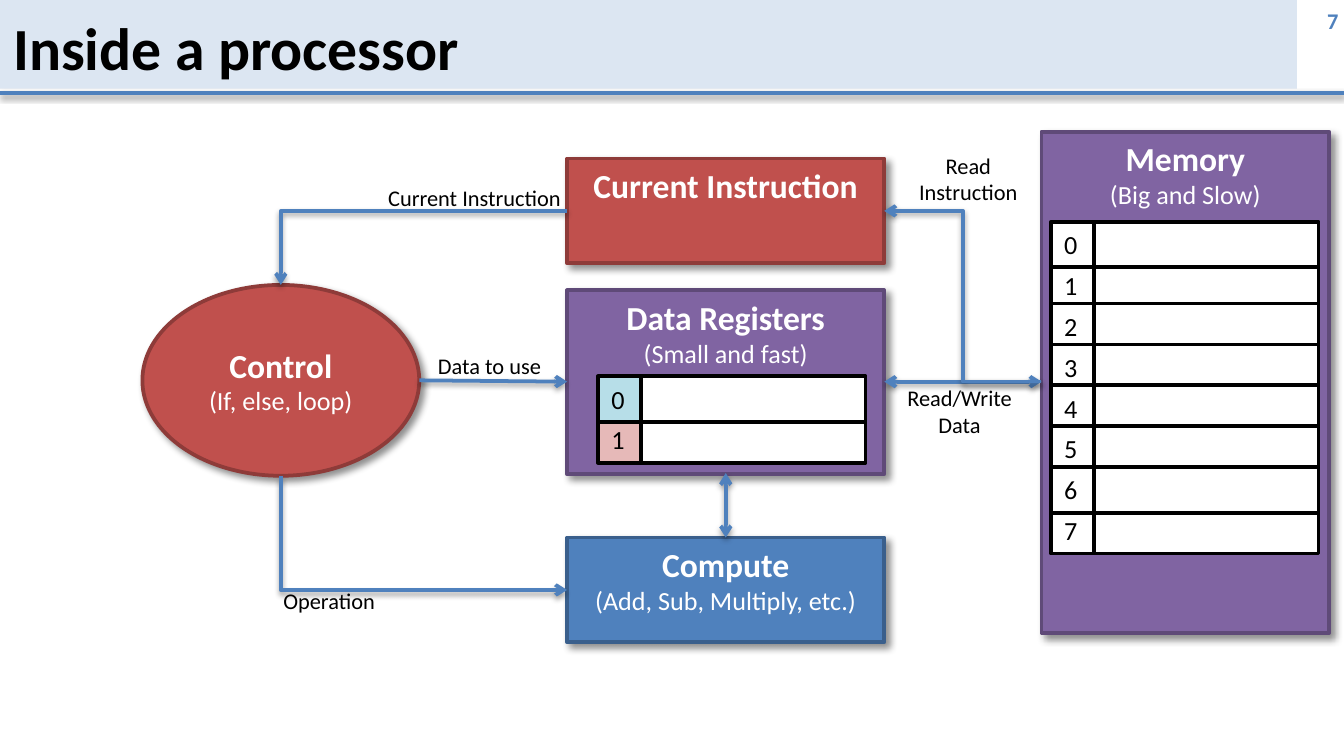
from lxml.etree import SubElement
from pptx import Presentation
from pptx.dml.color import RGBColor
from pptx.enum.shapes import MSO_CONNECTOR, MSO_SHAPE
from pptx.enum.text import MSO_ANCHOR, MSO_AUTO_SIZE, PP_ALIGN
from pptx.oxml.ns import qn
from pptx.util import Inches, Pt

BLACK = RGBColor(0x00, 0x00, 0x00)
WHITE = RGBColor(0xFF, 0xFF, 0xFF)
BLUE = RGBColor(0x4F, 0x81, 0xBD)
DARK_BLUE = RGBColor(0x3A, 0x5F, 0x8C)
PALE_BLUE = RGBColor(0xDC, 0xE6, 0xF2)
PURPLE = RGBColor(0x80, 0x64, 0xA2)
DARK_PURPLE = RGBColor(0x5F, 0x4A, 0x78)
RED = RGBColor(0xC0, 0x50, 0x4D)
DARK_RED = RGBColor(0x8E, 0x3B, 0x39)
AQUA = RGBColor(0xB7, 0xDE, 0xE8)
PINK = RGBColor(0xE6, 0xB9, 0xB8)

FONT = "Calibri"
LEFT, CENTER, RIGHT = PP_ALIGN.LEFT, PP_ALIGN.CENTER, PP_ALIGN.RIGHT
TOP, MIDDLE = MSO_ANCHOR.TOP, MSO_ANCHOR.MIDDLE
RECT, OVAL = MSO_SHAPE.RECTANGLE, MSO_SHAPE.OVAL
STRAIGHT, ELBOW = MSO_CONNECTOR.STRAIGHT, MSO_CONNECTOR.ELBOW
BOX_SHADOW = (43, 4, 3, 45)
LINE_SHADOW = (38, 3.1, 1.6, 90)

BOXES = [
    (RECT, (4.22, 4, 2.36, 0.78), BLUE, DARK_BLUE, [["Compute"], ["(Add, Sub, Multiply, etc.)"]]),
    (RECT, (4.22, 2.16, 2.36, 1.37), PURPLE, DARK_PURPLE, [["Data Registers", "(Small and fast)"]]),
    (RECT, (7.75, 0.98, 2.14, 3.73), PURPLE, DARK_PURPLE, [["Memory"], ["(Big and Slow)"]]),
    (RECT, (4.22, 1.18, 2.36, 0.78), RED, DARK_RED, [["Current Instruction"]]),
    (OVAL, (1.06, 2.12, 2.06, 1.42), RED, DARK_RED, [["Control"], ["(If, else, loop)"]]),
]

ARROWS = [
    (STRAIGHT, None, (5.4, 3.52), (5.4, 4), True, True),
    (ELBOW, "bentConnector2", (4.22, 1.57), (2.09, 2.12), False, True),
    (ELBOW, "bentConnector2", (4.22, 4.39), (2.09, 3.54), True, False),
    (ELBOW, None, (6.58, 2.84), (7.75, 2.84), True, True),
    (ELBOW, None, (7.75, 2.84), (6.58, 1.57), False, True),
    (STRAIGHT, None, (3.12, 2.83), (4.22, 2.84), False, True),
]

LABELS = [
    ("Current Instruction", (2.79, 1.32, 1.5, 0.3), LEFT, False),
    ("Operation", (2.01, 4.32, 0.89, 0.3), LEFT, False),
    ("Read/Write Data", (6.53, 2.81, 1.22, 0.5), CENTER, True),
    ("Read Instruction", (6.58, 1.08, 1.25, 0.5), CENTER, True),
    ("Data to use", (3.16, 2.57, 0.98, 0.3), LEFT, False),
]

CELL_STACKS = [
    (7.82, 1.65, [(n, WHITE) for n in (7, 1, 2, 3, 4, 5, 6, 0)]),
    (4.45, 2.8, [(1, PINK), (0, AQUA)]),
]
CELL_PITCH = 2.13 / 7
CELL_H, INDEX_W, VALUE_W = 0.34, 0.32, 1.67


def add_shadow(sp, alpha, blur, dist, angle):
    effects = SubElement(sp._element.spPr, qn("a:effectLst"))
    outer = SubElement(effects, qn("a:outerShdw"), blurRad=str(Pt(blur)), dist=str(Pt(dist)),
                       dir=str(angle * 60000), algn="ctr", rotWithShape="0")
    color = SubElement(outer, qn("a:srgbClr"), val="000000")
    SubElement(color, qn("a:alpha"), val=str(alpha * 1000))


def add_line(s, kind, preset, start, end, head, tail):
    cx = s.shapes.add_connector(kind, *map(Inches, start + end))
    cx.line.color.rgb = BLUE
    cx.line.width = Pt(2)
    sp_pr = cx._element.spPr
    if preset:
        sp_pr.find(qn("a:prstGeom")).set("prst", preset)
    for tag, wanted in (("a:headEnd", head), ("a:tailEnd", tail)):
        if wanted:
            SubElement(sp_pr.find(qn("a:ln")), qn(tag), type="arrow")
    add_shadow(cx, *LINE_SHADOW)


def add_shape(s, kind, at, fill, line=None, shadow=None):
    sp = s.shapes.add_shape(kind, *map(Inches, at))
    sp.fill.solid()
    sp.fill.fore_color.rgb = fill
    if line is None:
        sp.line.fill.background()
    else:
        sp.line.color.rgb = line
        sp.line.width = Pt(2)
    if shadow:
        add_shadow(sp, *shadow)
    else:
        sp.shadow.inherit = False
    return sp


def add_run(p, text, size, bold, color):
    r = p.add_run()
    r.text = text
    r.font.name = FONT
    r.font.size = Pt(size)
    r.font.bold = bold
    r.font.color.rgb = color


def set_frame(sp, anchor=TOP, wrap=True):
    tf = sp.text_frame
    tf.word_wrap = wrap
    tf.vertical_anchor = anchor
    return tf


def write(sp, text, size, bold, color, align=LEFT, anchor=TOP, wrap=True):
    tf = set_frame(sp, anchor, wrap)
    p = tf.paragraphs[0]
    p.alignment = align
    add_run(p, text, size, bold, color)
    return tf


def write_box(sp, paragraphs, anchor, wrap):
    tf = set_frame(sp, anchor, wrap)
    size, bold = 18, True
    for i, lines in enumerate(paragraphs):
        p = tf.paragraphs[0] if i == 0 else tf.add_paragraph()
        p.alignment = CENTER
        for j, text in enumerate(lines):
            if j:
                p.add_line_break()
            add_run(p, text, size, bold, WHITE)
            size, bold = 14, False


def add_text(s, at, *text):
    return write(s.shapes.add_textbox(*map(Inches, at)), *text)


def main():
    prs = Presentation()
    prs.slide_width = Inches(10)
    prs.slide_height = prs.slide_width * 9 // 16
    s = prs.slides.add_slide(prs.slide_layouts[6])

    tf = add_text(s, (9.33, 0, 0.67, 0.3), "7", 12, True, BLUE, RIGHT, MIDDLE, False)
    tf.margin_left = tf.margin_right = Inches(0.04)
    add_shape(s, RECT, (0, 0, 9.65, 0.66), PALE_BLUE)
    add_line(s, STRAIGHT, None, (0, 0.69), (10, 0.69), False, False)
    add_text(s, (0, 0.03, 9.88, 0.63), "Inside a processor", 32, True, BLACK, LEFT, MIDDLE)

    for kind, at, fill, line, paragraphs in BOXES:
        sp = add_shape(s, kind, at, fill, line, BOX_SHADOW)
        write_box(sp, paragraphs, TOP if kind == RECT else MIDDLE, kind == RECT)

    for arrow in ARROWS:
        add_line(s, *arrow)
    for text, at, align, wrap in LABELS:
        tf = add_text(s, at, text, 12, False, BLACK, align, TOP, wrap)
        tf.auto_size = MSO_AUTO_SIZE.SHAPE_TO_FIT_TEXT

    for left, top, cells in CELL_STACKS:
        for number, fill in cells:
            y = top + number * CELL_PITCH
            add_shape(s, RECT, (left + INDEX_W, y, VALUE_W, CELL_H), WHITE, BLACK)
            sp = add_shape(s, RECT, (left, y, INDEX_W, CELL_H), fill, BLACK)
            tf = write(sp, str(number), 14, False, BLACK)
            tf.auto_size = MSO_AUTO_SIZE.SHAPE_TO_FIT_TEXT

    prs.save("out.pptx")


if __name__ == "__main__":
    main()
